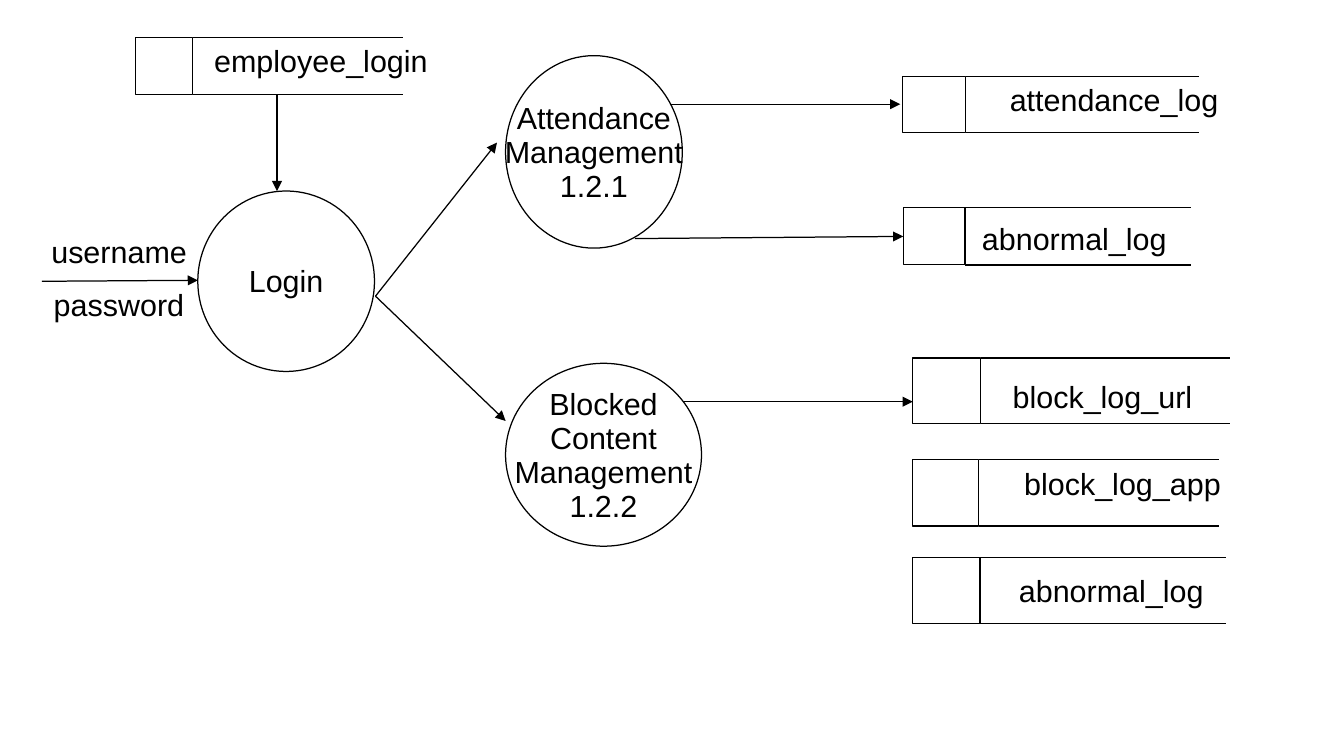
from lxml.etree import SubElement
from pptx import Presentation
from pptx.dml.color import RGBColor
from pptx.enum.shapes import MSO_CONNECTOR, MSO_SHAPE
from pptx.enum.text import MSO_ANCHOR, PP_ALIGN
from pptx.oxml.ns import qn
from pptx.util import Cm, Pt

BLACK = RGBColor(0x00, 0x00, 0x00)
WHITE = RGBColor(0xFF, 0xFF, 0xFF)

# All lengths are in centimetres.
# text, (left, top, width, height)
PROCESSES = [
    ("Login", (4.12, 3.98, 3.68, 3.76)),
    ("Attendance\nManagement\n1.2.1", (10.53, 1.16, 3.68, 4.01)),
    ("Blocked\nContent\nManagement\n1.2.2", (10.53, 7.57, 4.08, 3.81)),
]
# key, square (left, top, width, height), right end of the open side
STORES = [
    ("employee", (2.82, 0.78, 1.19, 1.19), 8.4),
    ("attendance", (18.79, 1.59, 1.32, 1.17), 24.98),
    ("abnormal", (18.81, 4.33, 1.29, 1.19), 24.8),
    ("blocked url", (19.01, 7.46, 1.41, 1.37), 25.61),
    ("blocked app", (19.01, 9.57, 1.37, 1.39), 25.39),
    ("blocked abnormal", (19.01, 11.61, 1.4, 1.38), 25.54),
]
LABELS = [
    ("username", (0.82, 4.75, 3.4, 1.35)),
    ("password", (0.87, 5.85, 3.91, 0.99)),
    ("employee_login", (4.21, 0.77, 5.1, 0.97)),
    ("attendance_log", (20.78, 1.58, 5.0, 0.97)),
    ("abnormal_log", (20.2, 4.48, 4.55, 0.97)),
    ("block_log_url", (20.84, 7.77, 4.57, 0.97)),
    ("block_log_app", (21.08, 9.58, 4.7, 1.17)),
    ("abnormal_log", (20.97, 11.81, 4.57, 0.97)),
]
# start, end, store whose left side the arrow joins
FLOWS = [
    ((0.87, 5.86), (4.12, 5.84), None),
    ((5.77, 1.97), (5.77, 3.98), None),
    ((7.82, 6.17), (10.35, 2.97), None),
    ((7.82, 6.17), (10.53, 8.77), None),
    ((13.95, 2.17), (18.75, 2.17), None),
    ((13.22, 4.97), (18.81, 4.93), "abnormal"),
    ((14.22, 8.37), (19.01, 8.37), None),
]


def write(shape, text, align, anchor, wrap):
    frame = shape.text_frame
    frame.word_wrap = wrap
    frame.vertical_anchor = anchor
    frame.margin_left = frame.margin_right = Cm(0.25)
    frame.margin_top, frame.margin_bottom = Cm(0.18), Cm(0.13)
    frame.text = text
    for para in frame.paragraphs:
        para.alignment = align
        para.line_spacing = 0.93
        for span in para.runs:
            span.font.name = "Arial"
            span.font.size = Pt(18)
            span.font.color.rgb = BLACK


def add_outlined(page, kind, place):
    shape = page.shapes.add_shape(kind, *map(Cm, place))
    shape.shadow.inherit = False
    shape.fill.solid()
    shape.fill.fore_color.rgb = WHITE
    shape.line.color.rgb = BLACK
    shape.line.width = Pt(0.75)
    return shape


def add_line(page, start, end):
    line = page.shapes.add_connector(MSO_CONNECTOR.STRAIGHT, *map(Cm, start + end))
    line.line.color.rgb = BLACK
    line.line.width = Pt(0.75)
    SubElement(line.element.spPr, qn("a:effectLst"))
    return line


def add_store(page, square, right_end):
    """Draw a data store: a square with an open-ended bar to its right."""
    left, top, width, height = square
    for y in (top, top + height):
        add_line(page, (left + width, y), (right_end, y))
    return add_outlined(page, MSO_SHAPE.RECTANGLE, square)


def main():
    deck = Presentation()
    deck.slide_width, deck.slide_height = Cm(27.99), Cm(15.75)
    page = deck.slides.add_slide(deck.slide_layouts[6])

    for text, place in PROCESSES:
        circle = add_outlined(page, MSO_SHAPE.OVAL, place)
        write(circle, text, PP_ALIGN.CENTER, MSO_ANCHOR.MIDDLE, wrap=False)

    stores = {key: add_store(page, square, right_end) for key, square, right_end in STORES}

    for text, place in LABELS:
        box = page.shapes.add_textbox(*map(Cm, place))
        write(box, text, PP_ALIGN.LEFT, MSO_ANCHOR.TOP, wrap=True)

    for start, end, target in FLOWS:
        arrow = add_line(page, start, end)
        outline = arrow.element.spPr.find(qn("a:ln"))
        SubElement(outline, qn("a:tailEnd"), type="triangle")
        if target:
            arrow.end_connect(stores[target], 1)

    deck.save("out.pptx")


if __name__ == "__main__":
    main()
